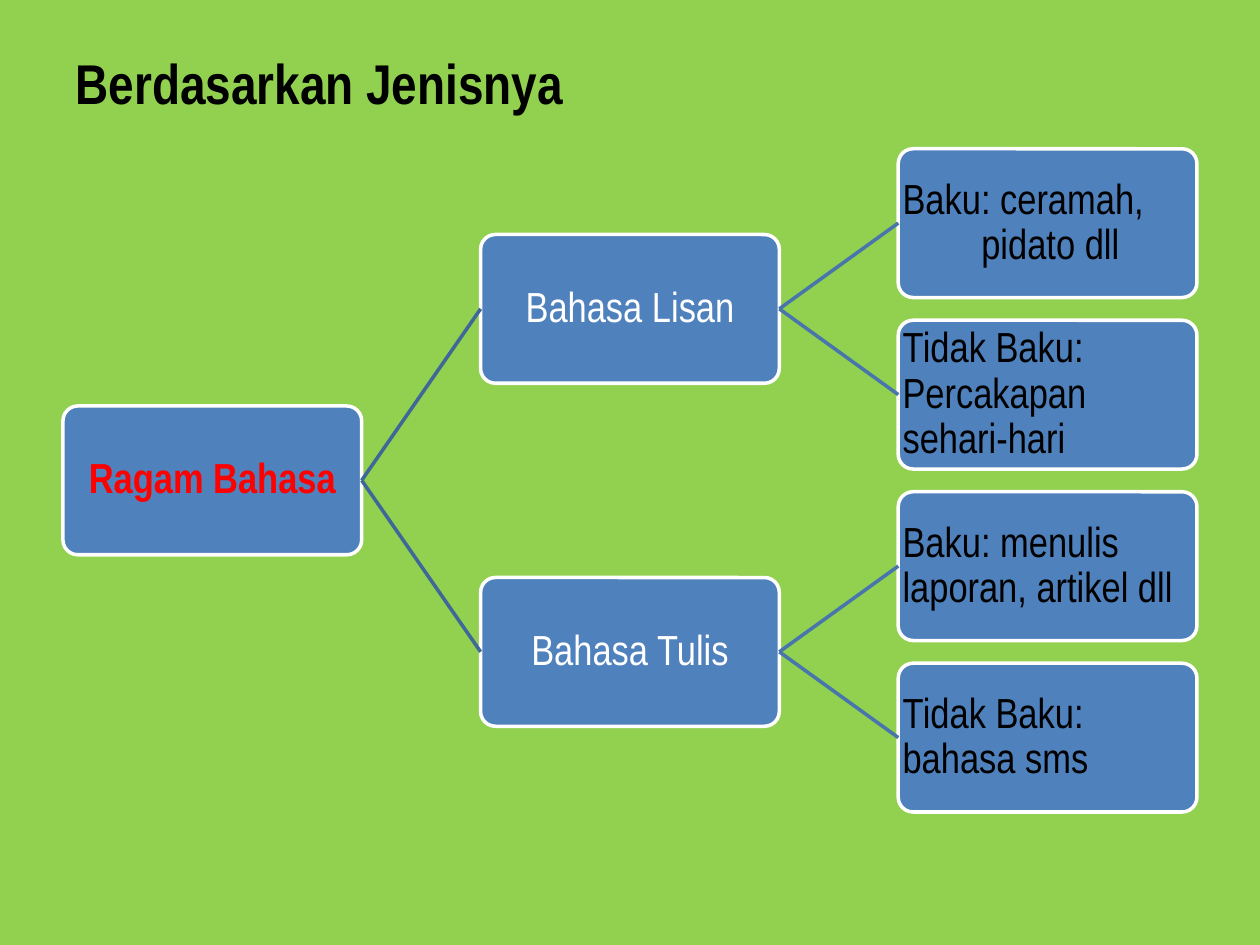
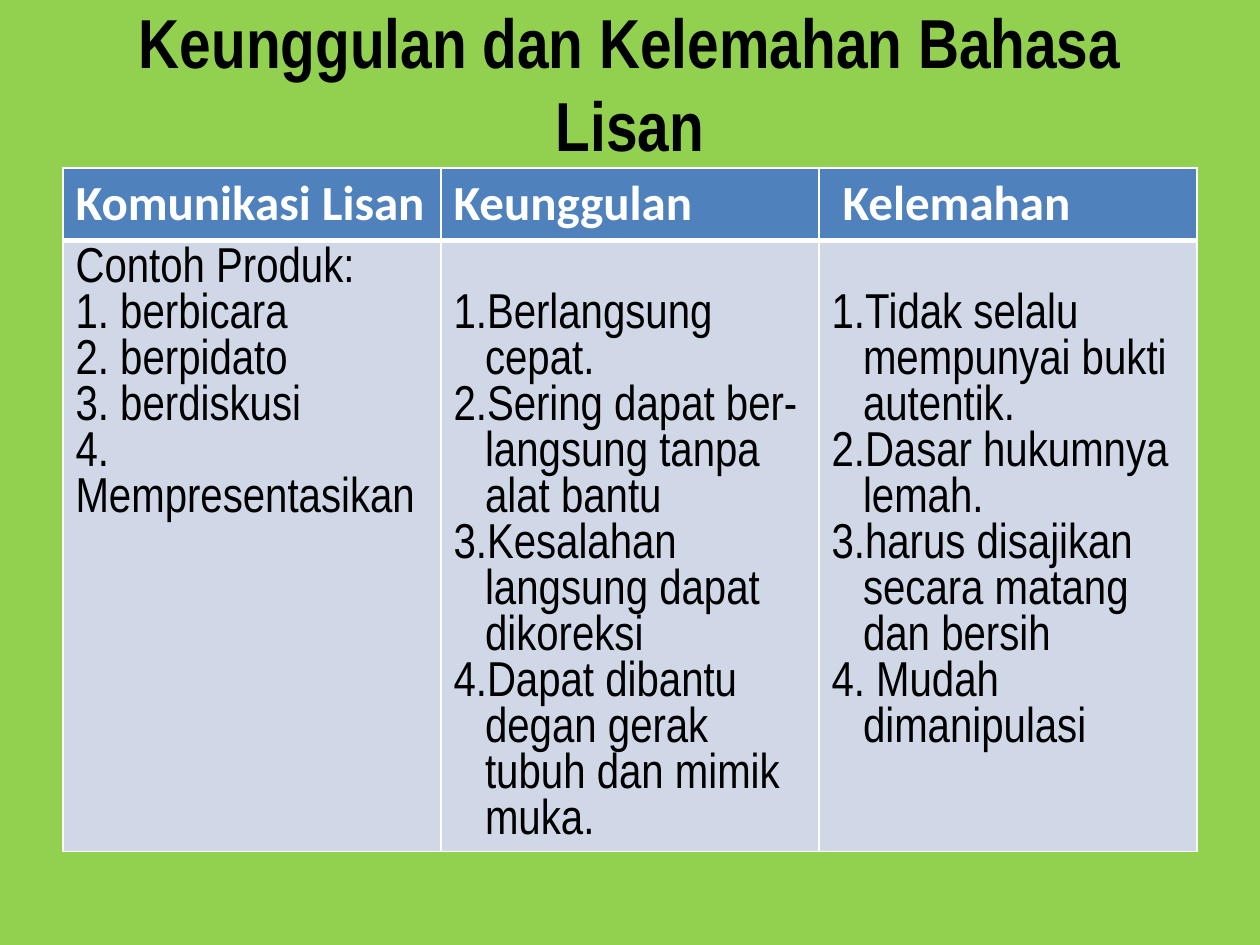
from dataclasses import dataclass
from typing import Optional

from lxml.etree import SubElement
from pptx import Presentation
from pptx.dml.color import RGBColor
from pptx.enum.shapes import MSO_CONNECTOR as Connector, MSO_SHAPE as Preset
from pptx.enum.text import MSO_ANCHOR as Anchor, PP_ALIGN as Align
from pptx.oxml.ns import qn
from pptx.util import Pt

NARROW, HEADING = "Arial Narrow", "Calibri"
GREEN, BLUE, PALE = "92D050", "4F81BD", "D0D8E8"
WHITE, BLACK, RED = "FFFFFF", "000000", "FF0000"
ROOT_LINK, LEAF_LINK = "3F6797", "4875AC"

MARGIN, CONTENT_WIDTH = 36, 648
BOX_WIDTH, BOX_HEIGHT = 170.7, 85
LEVEL_STEP, LEAF_STEP, LEAF_TOP = 238.65, 98, 85
LINE_PITCH, CELL_TOP = 26.3, 3.6


@dataclass(frozen=True)
class Branch:
    label: str
    level: int
    row: float
    color: str = BLACK
    bold: bool = False
    align: Align = Align.LEFT
    hanging: float = 0
    link: str = LEAF_LINK
    children: tuple["Branch", ...] = ()


@dataclass(frozen=True)
class Column:
    heading: str
    items: tuple[str, ...]
    lead: Optional[str] = None
    heading_indent: float = 0


VARIETIES = Branch("Ragam Bahasa", 0, 1.5, RED, True, Align.CENTER, children=(
    Branch("Bahasa Lisan", 1, 0.5, WHITE, align=Align.CENTER, link=ROOT_LINK, children=(
        Branch("Baku: ceramah, pidato dll", 2, 0, hanging=45),
        Branch("Tidak Baku: Percakapan sehari-hari", 2, 1),
    )),
    Branch("Bahasa Tulis", 1, 2.5, WHITE, align=Align.CENTER, link=ROOT_LINK, children=(
        Branch("Baku: menulis laporan, artikel dll", 2, 2),
        Branch("Tidak Baku: bahasa sms", 2, 3),
    )),
))

COMPARISON = (
    Column("Komunikasi Lisan",
           ("1. berbicara", "2. berpidato", "3. berdiskusi", "4. Mempresentasikan"),
           lead="Contoh Produk:"),
    Column("Keunggulan",
           ("Berlangsung cepat.",
            "Sering dapat ber- langsung tanpa alat bantu",
            "Kesalahan langsung dapat dikoreksi",
            "Dapat dibantu degan gerak tubuh dan mimik muka.")),
    Column("Kelemahan",
           ("Tidak selalu mempunyai bukti autentik.",
            "Dasar hukumnya lemah.",
            "harus disajikan secara matang dan bersih",
            " Mudah dimanipulasi"),
           heading_indent=6.3),
)


def rgb(value: str) -> RGBColor:
    return RGBColor.from_string(value)


def write(paragraph, text: str, size: float, color: str, bold: bool = False,
          font: str = NARROW) -> None:
    run = paragraph.add_run()
    run.text = text
    run.font.name, run.font.size, run.font.bold = font, Pt(size), bold
    run.font.color.rgb = rgb(color)


def indent(paragraph, left: float, first: float) -> None:
    properties = paragraph._p.get_or_add_pPr()
    properties.set("marL", str(Pt(left)))
    properties.set("indent", str(Pt(first)))


def add_titled_slide(deck, heading: str, size: float, align: Align):
    slide = deck.slides.add_slide(deck.slide_layouts[5])
    slide.background.fill.solid()
    slide.background.fill.fore_color.rgb = rgb(GREEN)
    title = slide.shapes.title
    title.left, title.top = Pt(MARGIN), Pt(21.6)
    title.width, title.height = Pt(CONTENT_WIDTH), Pt(50.4)
    title.text_frame.vertical_anchor = Anchor.MIDDLE
    paragraph = title.text_frame.paragraphs[0]
    paragraph.alignment = align
    write(paragraph, heading, size, BLACK, True)
    return slide


def add_box(slide, branch: Branch):
    box = slide.shapes.add_shape(
        Preset.ROUNDED_RECTANGLE,
        Pt(MARGIN + branch.level * LEVEL_STEP), Pt(LEAF_TOP + branch.row * LEAF_STEP),
        Pt(BOX_WIDTH), Pt(BOX_HEIGHT))
    box.adjustments[0] = 0.1
    box.shadow.inherit = False
    box.fill.solid()
    box.fill.fore_color.rgb = rgb(BLUE)
    box.line.color.rgb = rgb(WHITE)
    box.line.width = Pt(2)
    frame = box.text_frame
    frame.word_wrap = True
    frame.vertical_anchor = Anchor.MIDDLE
    frame.margin_left = frame.margin_right = frame.margin_top = frame.margin_bottom = 0
    paragraph = frame.paragraphs[0]
    paragraph.alignment = branch.align
    paragraph.line_spacing = 0.9
    indent(paragraph, branch.hanging, -branch.hanging)
    write(paragraph, branch.label, 24, branch.color, branch.bold)
    return box


def add_link(slide, parent, child, color: str) -> None:
    link = slide.shapes.add_connector(Connector.STRAIGHT, 0, 0, 0, 0)
    link.begin_connect(parent, 3)
    link.end_connect(child, 1)
    link.line.color.rgb = rgb(color)
    link.line.width = Pt(2)
    SubElement(link._element.spPr, qn("a:effectLst"))


def add_tree(slide, branch: Branch):
    box = add_box(slide, branch)
    for child in branch.children:
        add_link(slide, box, add_tree(slide, child), child.link)
    return box


def style_cell(cell, fill: str, top: float = 1, bottom: float = 1) -> None:
    properties = cell._tc.get_or_add_tcPr()
    for edge, width in (("lnL", 1), ("lnR", 1), ("lnT", top), ("lnB", bottom)):
        line = SubElement(properties, qn(f"a:{edge}"), w=str(Pt(width)))
        solid = SubElement(line, qn("a:solidFill"))
        SubElement(solid, qn("a:srgbClr"), val=WHITE)
    cell.fill.solid()
    cell.fill.fore_color.rgb = rgb(fill)


def fill_lines(cell, column: Column) -> None:
    paragraph = cell.text_frame.paragraphs[0]
    paragraph.line_spacing = Pt(LINE_PITCH)
    write(paragraph, column.lead, 28, BLACK)
    for item in column.items:
        paragraph.add_line_break()
        write(paragraph, item, 28, BLACK)


def fill_numbered(cell, column: Column) -> None:
    cell.margin_top = Pt(CELL_TOP + LINE_PITCH)
    frame = cell.text_frame
    for index, item in enumerate(column.items):
        paragraph = frame.add_paragraph() if index else frame.paragraphs[0]
        indent(paragraph, 18, -18)
        SubElement(paragraph._p.get_or_add_pPr(), qn("a:buFont"), typeface="+mj-lt")
        SubElement(paragraph._p.get_or_add_pPr(), qn("a:buAutoNum"), type="arabicPeriod")
        paragraph.line_spacing = Pt(LINE_PITCH)
        write(paragraph, item, 28, BLACK)


def add_comparison(slide, columns: tuple[Column, ...]) -> None:
    heights = (41.2, 349.1)
    table = slide.shapes.add_table(
        2, len(columns), Pt(MARGIN), Pt(96), Pt(CONTENT_WIDTH), Pt(sum(heights))).table
    for row, height in zip(table.rows, heights):
        row.height = Pt(height)
    for index, column in enumerate(columns):
        header, body = table.cell(0, index), table.cell(1, index)
        style_cell(header, BLUE, bottom=3)
        style_cell(body, PALE, top=3)
        heading = header.text_frame.paragraphs[0]
        indent(heading, column.heading_indent, 0)
        write(heading, column.heading, 28, WHITE, True, HEADING)
        fill = fill_lines if column.lead else fill_numbered
        fill(body, column)


def main() -> None:
    deck = Presentation()
    deck.slide_width, deck.slide_height = Pt(720), Pt(540)
    add_tree(add_titled_slide(deck, "Berdasarkan Jenisnya", 32, Align.LEFT), VARIETIES)
    add_comparison(
        add_titled_slide(deck, "Keunggulan dan Kelemahan Bahasa Lisan", 39.6, Align.CENTER),
        COMPARISON)
    deck.save("out.pptx")


if __name__ == "__main__":
    main()
